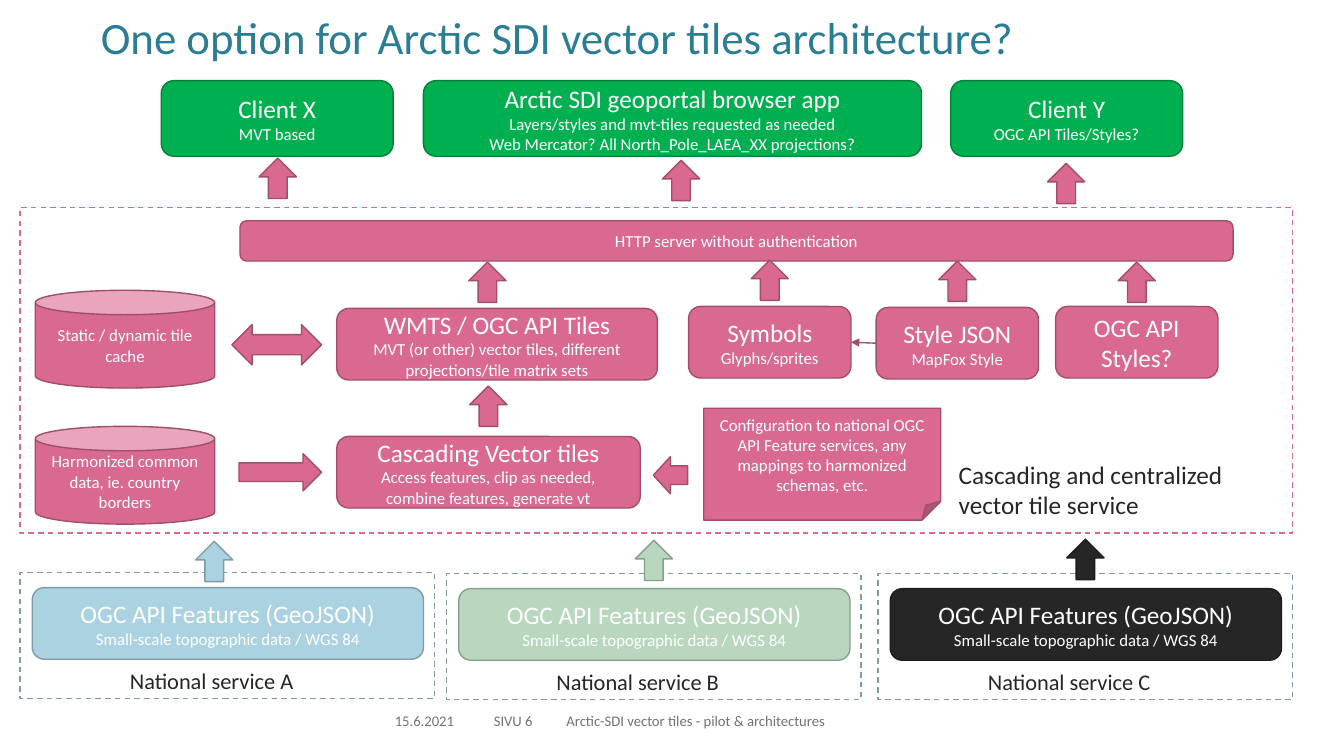
from lxml import etree
from pptx import Presentation
from pptx import util as u
from pptx.dml.color import RGBColor
from pptx.enum import dml, shapes, text
from pptx.oxml import ns

PX = 9144  # 100 px to the inch
KIND = shapes.MSO_SHAPE
ROUND = KIND.ROUNDED_RECTANGLE
LEFT, MID = text.PP_ALIGN.LEFT, text.PP_ALIGN.CENTER


class Theme:
    font = "Calibri"
    title, head, label, body, foot = 32, 18, 16, 12, 10.5
    teal, ink, grey, white = "2B7D93", "262626", "767171", "FFFFFF"
    green = ("00B050", "00823B")  # fill, line
    pink = ("D96991", "A14E6B")
    blue = ("AAD2E0", "7E9BA6")
    mint = ("B9D7BF", "899F8D")
    black = ("262626", "1C1C1C")


deck = Presentation()
deck.slide_width, deck.slide_height = 1333 * PX, 750 * PX
slide = deck.slides.add_slide(deck.slide_layouts[5])


def write(shape, lines, color=Theme.white, align=MID, anchor=text.MSO_ANCHOR.MIDDLE):
    """Fill a shape with lines, each a pair of words and type size."""
    frame = shape.text_frame
    look = {"word_wrap": True, "auto_size": text.MSO_AUTO_SIZE.NONE,
            "vertical_anchor": anchor}
    for key, value in look.items():
        setattr(frame, key, value)
    for i, (words, size) in enumerate(lines):
        para = frame.add_paragraph() if i else frame.paragraphs[0]
        para.alignment = align
        run = para.add_run()
        run.text = words
        for key, value in {"name": Theme.font, "size": u.Pt(size)}.items():
            setattr(run.font, key, value)
        run.font.color.rgb = RGBColor.from_string(color)


def draw(kind, box, fill, line, dash=None):
    shape = slide.shapes.add_shape(kind, *[n * PX for n in box])
    shape.shadow.inherit = False
    if fill:
        shape.fill.solid()
        shape.fill.fore_color.rgb = RGBColor.from_string(fill)
    else:
        shape.fill.background()
    shape.line.color.rgb = RGBColor.from_string(line)
    for key, value in {"width": u.Pt(1), "dash_style": dash}.items():
        setattr(shape.line, key, value)
    return shape


# Title
title = slide.shapes.title
for key, value in {"left": 90, "top": 2, "width": 1150, "height": 68}.items():
    setattr(title, key, value * PX)
write(title, [("One option for Arctic SDI vector tiles architecture?", Theme.title)],
      Theme.teal, LEFT)

# Frame of the central service
DASH = dml.MSO_LINE.DASH
draw(KIND.RECTANGLE, (20, 206, 1262, 323), Theme.white, Theme.pink[0], DASH)

# Clients and service parts: kind, box, colours, heading, body lines
parts = [
    (ROUND, (160, 80, 230, 75), Theme.green, "Client X", ["MVT based"]),
    (ROUND, (420, 80, 494, 75), Theme.green, "Arctic SDI geoportal browser app",
     ["Layers/styles and mvt-tiles requested as needed",
      "Web Mercator? All North_Pole_LAEA_XX projections?"]),
    (ROUND, (943, 80, 230, 75), Theme.green, "Client Y", ["OGC API Tiles/Styles?"]),
    (ROUND, (238, 219, 985, 40), Theme.pink, "", ["HTTP server without authentication"]),
    (ROUND, (334, 306, 318, 71), Theme.pink, "WMTS / OGC API Tiles",
     ["MVT (or other) vector tiles, different projections/tile matrix sets"]),
    (ROUND, (683, 304, 161, 71), Theme.pink, "Symbols", ["Glyphs/sprites"]),
    (ROUND, (869, 305, 161, 71), Theme.pink, "Style JSON", ["MapFox Style"]),
    (ROUND, (1047, 304, 161, 71), Theme.pink, "OGC API Styles?", []),
    (ROUND, (334, 433, 301, 71), Theme.pink, "Cascading Vector tiles",
     ["Access features, clip as needed, combine features, generate vt"]),
    (KIND.CAN, (35, 288, 178, 97), Theme.pink, "", ["Static / dynamic tile cache"]),
    (KIND.CAN, (35, 423, 178, 97), Theme.pink, "",
     ["Harmonized common data, ie. country borders"]),
    (KIND.FOLDED_CORNER, (698, 405, 235, 111), Theme.pink, "",
     ["Configuration to national OGC API Feature services, "
      "any mappings to harmonized schemas, etc."]),
]
nodes = {}
for kind, box, tone, head, body in parts:
    node = draw(kind, box, *tone)
    lines = [(head, Theme.head)] if head else []
    write(node, lines + [(words, Theme.body) for words in body])
    nodes[head or body[0]] = node

# Link from style to symbols
link = slide.shapes.add_connector(shapes.MSO_CONNECTOR.STRAIGHT, 0, 0, 0, 0)
link.begin_connect(nodes["Style JSON"], 1)
link.end_connect(nodes["Symbols"], 3)
link.line.color.rgb = RGBColor.from_string(Theme.pink[1])
link.line.width = u.Pt(1)
tip = etree.SubElement(link.line._get_or_add_ln(), ns.qn("a:tailEnd"))
tip.set("type", "triangle")
etree.SubElement(link._element.spPr, ns.qn("a:effectLst"))

# Upward arrows
for x, y in [(257, 157), (657, 159), (1039, 162), (465, 260), (745, 258),
             (931, 259), (1109, 260), (466, 383)]:
    draw(KIND.UP_ARROW, (x, y, 37, 40), *Theme.pink)

# Sideways arrows
for kind, box in [(KIND.LEFT_RIGHT_ARROW, (230, 322, 89, 40)),
                  (KIND.RIGHT_ARROW, (237, 450, 82, 37)),
                  (KIND.LEFT_ARROW, (648, 453, 34, 37))]:
    draw(kind, box, *Theme.pink)

# National services: name, frame corner, arrow corner, colours
for name, x, y, ax, ay, tone in [("A", 20, 568, 194, 537, Theme.blue),
                                 ("B", 443, 569, 630, 536, Theme.mint),
                                 ("C", 871, 569, 1058, 535, Theme.black)]:
    draw(KIND.RECTANGLE, (x, y, 411, 125), None, Theme.blue[1], DASH)
    node = draw(ROUND, (x + 12, y + 15, 388, 71), *tone)
    write(node, [("OGC API Features (GeoJSON)", Theme.head),
                 ("Small-scale topographic data / WGS 84", Theme.body)])
    draw(KIND.UP_ARROW, (ax, ay, 37, 40), *tone)
    label = slide.shapes.add_textbox(*[n * PX for n in (x + 99, y + 89, 215, 37)])
    write(label, [("National service " + name, Theme.label)], Theme.ink, LEFT,
          text.MSO_ANCHOR.TOP)

# Service label and footer
for box, lines, color, align in [
    ((941, 450, 348, 71), [("Cascading and centralized", Theme.head),
                           ("vector tile service", Theme.head)], Theme.ink, LEFT),
    ((375, 695, 92, 40), [("15.6.2021", Theme.foot)], Theme.grey, MID),
    ((467, 695, 84, 40), [("SIVU 6", Theme.foot)], Theme.grey, MID),
    ((552, 695, 450, 40), [("Arctic-SDI vector tiles - pilot & architectures", Theme.foot)],
     Theme.grey, LEFT),
]:
    note = slide.shapes.add_textbox(*[n * PX for n in box])
    write(note, lines, color, align)

deck.save("out.pptx")
